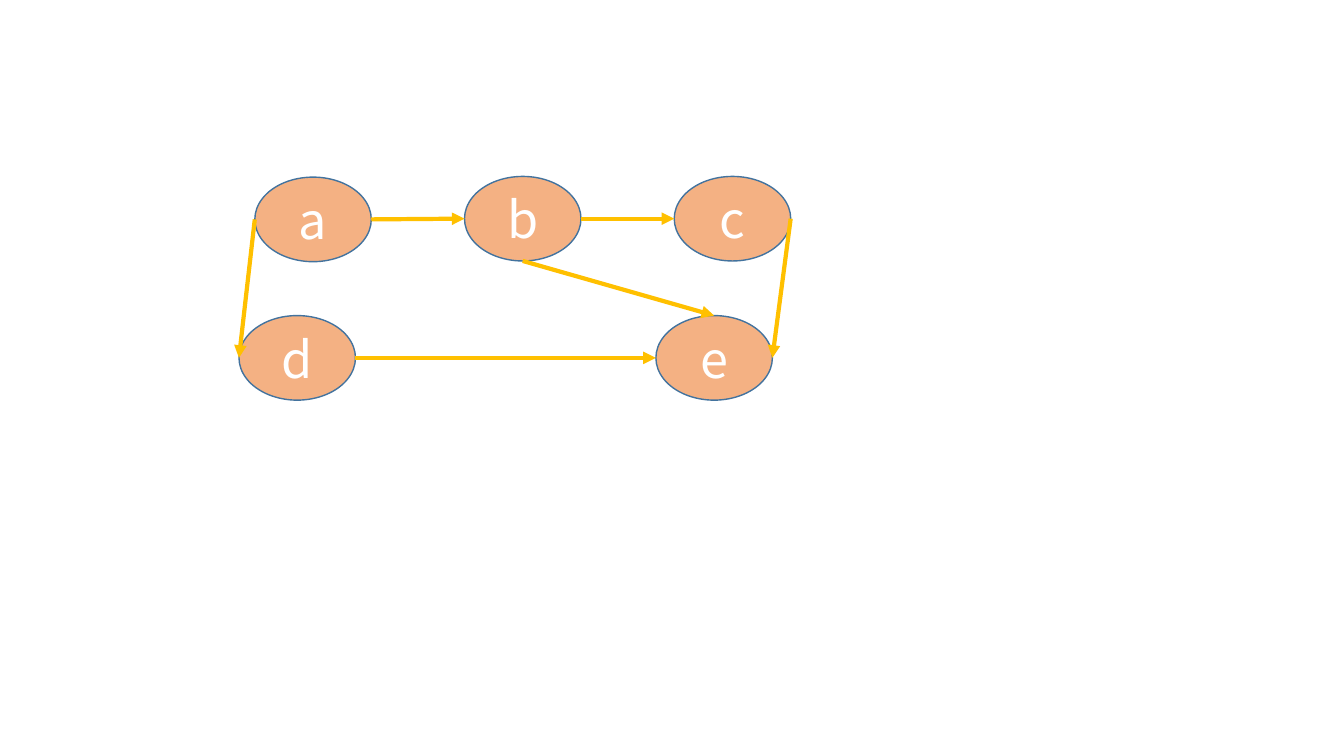
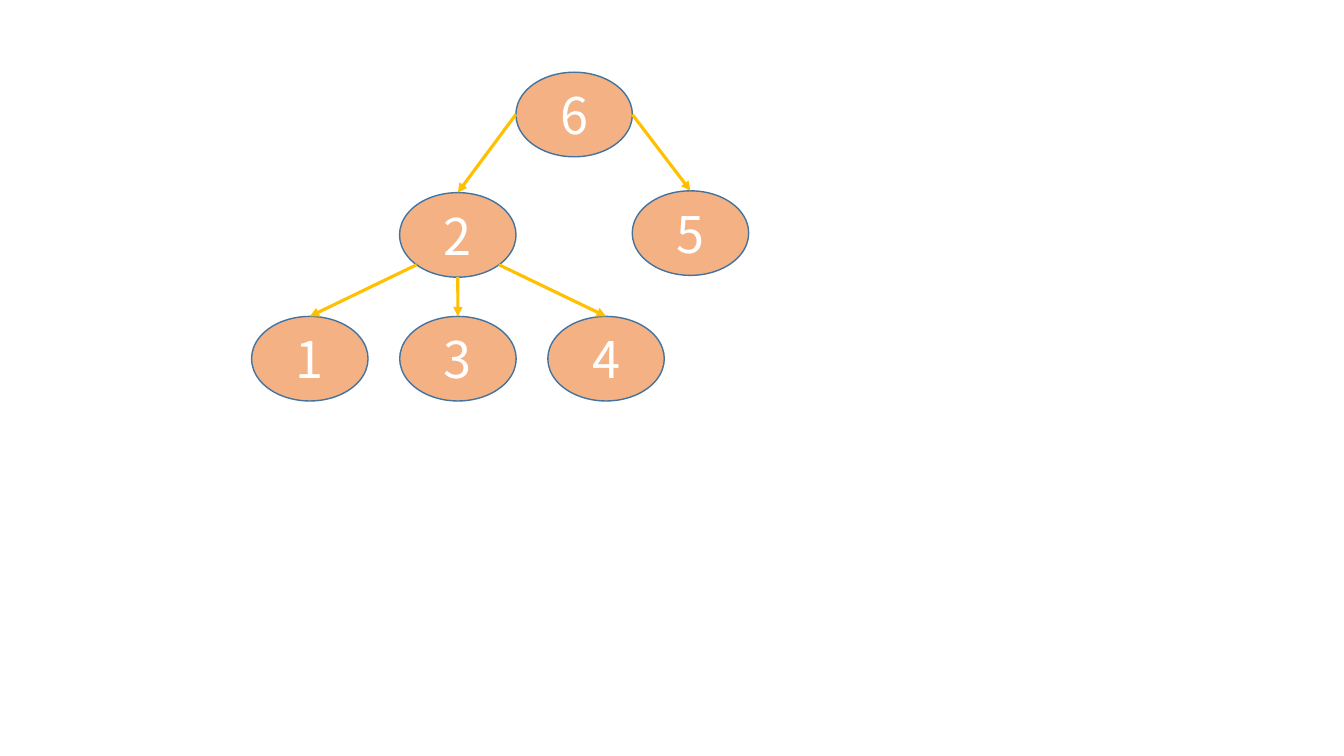
from enum import Enum
from math import cos, radians, sin
from typing import NamedTuple

from lxml.etree import SubElement
from pptx import Presentation
from pptx.dml.color import RGBColor
from pptx.enum.shapes import MSO_CONNECTOR as Connector, MSO_SHAPE as Shape
from pptx.enum.text import MSO_ANCHOR as Anchor, PP_ALIGN as Align
from pptx.oxml.ns import qn
from pptx.slide import Slide
from pptx.util import Pt

FONT = "Noto Sans CJK SC"
FONT_SIZE = 36
NODE_FILL, NODE_LINE, NODE_TEXT, EDGE_COLOR = "F4B183", "43739E", "FFFFFF", "FFC000"
NODE_W, NODE_H = 83.2, 60.4


class Site(Enum):
    RIGHT = 0
    BOTTOM_RIGHT = 45
    BOTTOM = 90
    BOTTOM_LEFT = 135
    LEFT = 180
    TOP = 270


class Node(NamedTuple):
    label: str
    left: float
    top: float

    def point(self, site: Site) -> tuple[float, float]:
        angle = radians(site.value)
        return (self.left + NODE_W / 2 * (1 + cos(angle)),
                self.top + NODE_H / 2 * (1 + sin(angle)))


class Edge(NamedTuple):
    source: str
    source_site: Site
    target: str
    target_site: Site


class Graph(NamedTuple):
    nodes: list[Node]
    edges: list[Edge]
    edge_width: float


def row(labels: str, left: float, top: float, step: float) -> list[Node]:
    return [Node(label, left + i * step, top) for i, label in enumerate(labels)]


def rgb(value: str) -> RGBColor:
    return RGBColor.from_string(value)


def draw_node(s: Slide, node: Node) -> None:
    sp = s.shapes.add_shape(Shape.OVAL, Pt(node.left), Pt(node.top), Pt(NODE_W), Pt(NODE_H))
    sp.shadow.inherit = False
    sp.fill.solid()
    sp.fill.fore_color.rgb = rgb(NODE_FILL)
    sp.line.color.rgb = rgb(NODE_LINE)
    sp.line.width = Pt(1)
    tf = sp.text_frame
    tf.vertical_anchor = Anchor.MIDDLE
    p = tf.paragraphs[0]
    p.text = node.label
    p.alignment = Align.CENTER
    p.font.name = FONT
    p.font.size = Pt(FONT_SIZE)
    p.font.color.rgb = rgb(NODE_TEXT)


def draw_arrow(s: Slide, start: tuple[float, float], end: tuple[float, float], width: float) -> None:
    cxn = s.shapes.add_connector(Connector.STRAIGHT, *(Pt(v) for v in start + end))
    cxn.line.color.rgb = rgb(EDGE_COLOR)
    cxn.line.width = Pt(width)
    SubElement(cxn.line._get_or_add_ln(), qn("a:tailEnd"), type="triangle")
    SubElement(cxn._element.spPr, qn("a:effectLst"))


def draw_graph(s: Slide, graph: Graph) -> None:
    nodes = {node.label: node for node in graph.nodes}
    for node in graph.nodes:
        draw_node(s, node)
    for edge in graph.edges:
        draw_arrow(s, nodes[edge.source].point(edge.source_site),
                   nodes[edge.target].point(edge.target_site), graph.edge_width)


NETWORK = Graph(
    nodes=[Node("a", 182, 126.5), *row("bc", 331.8, 126, 149.8), *row("de", 170.7, 225.4, 297.8)],
    edges=[
        Edge("a", Site.LEFT, "d", Site.LEFT),
        Edge("a", Site.RIGHT, "b", Site.LEFT),
        Edge("b", Site.RIGHT, "c", Site.LEFT),
        Edge("c", Site.RIGHT, "e", Site.RIGHT),
        Edge("b", Site.BOTTOM, "e", Site.TOP),
        Edge("d", Site.RIGHT, "e", Site.LEFT),
    ],
    edge_width=3,
)

TREE = Graph(
    nodes=[Node("6", 368.5, 51.6), Node("2", 285.4, 137.6), Node("5", 451.6, 136.3),
           *row("134", 179.7, 226, 105.8)],
    edges=[
        Edge("6", Site.LEFT, "2", Site.TOP),
        Edge("2", Site.BOTTOM_LEFT, "1", Site.TOP),
        Edge("2", Site.BOTTOM_RIGHT, "4", Site.TOP),
        Edge("2", Site.BOTTOM, "3", Site.TOP),
        Edge("6", Site.RIGHT, "5", Site.TOP),
    ],
    edge_width=2.25,
)


def main() -> None:
    prs = Presentation()
    prs.slide_width, prs.slide_height = Pt(960), Pt(540)
    blank = prs.slide_layouts[6]
    for graph in (NETWORK, TREE):
        draw_graph(prs.slides.add_slide(blank), graph)
    prs.save("out.pptx")


if __name__ == "__main__":
    main()
